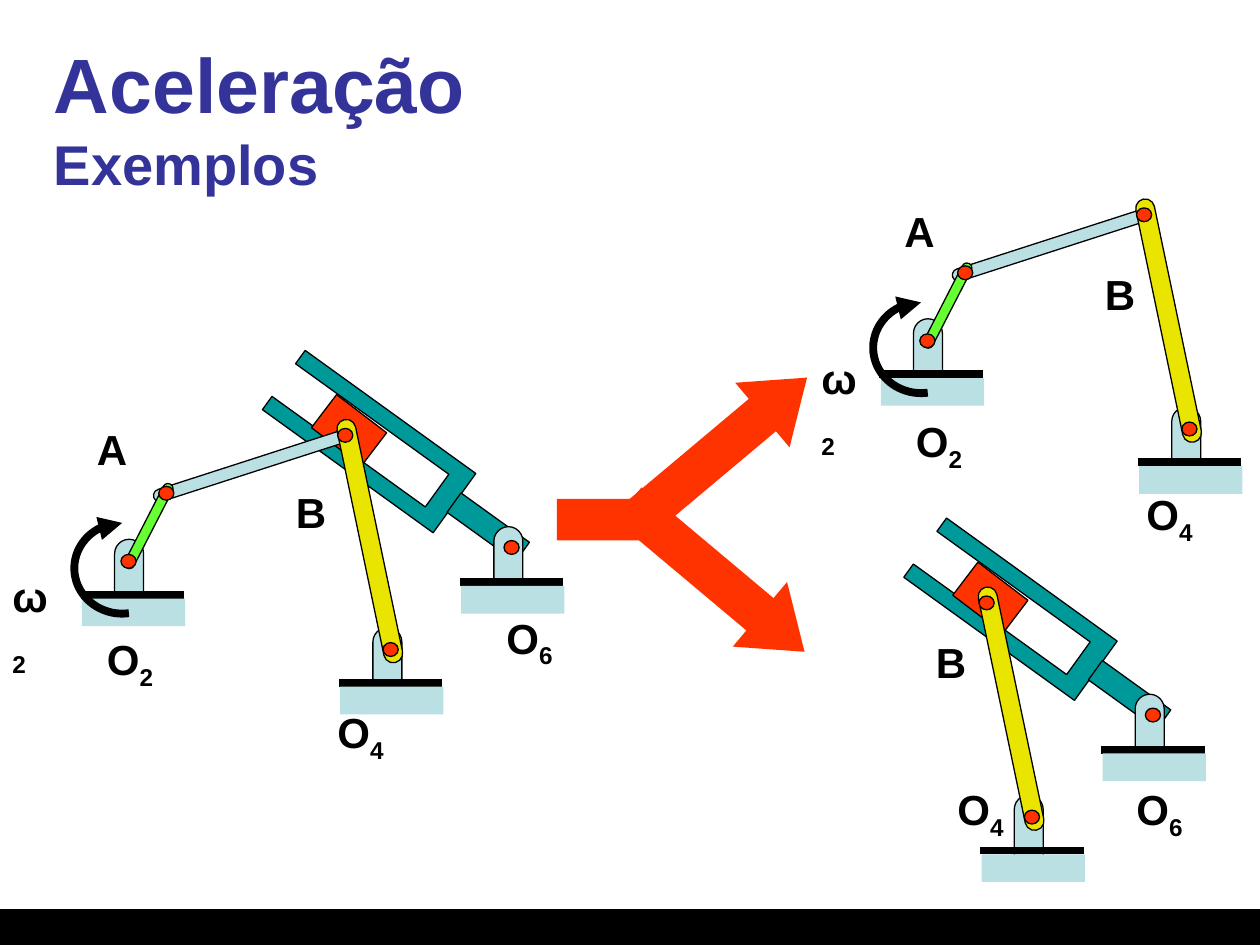
from dataclasses import dataclass
from math import cos, radians, sin

from lxml import etree
from pptx import Presentation
from pptx.dml.color import RGBColor
from pptx.enum.shapes import MSO_CONNECTOR, MSO_SHAPE
from pptx.enum.text import MSO_ANCHOR, MSO_AUTO_SIZE
from pptx.oxml.ns import qn
from pptx.util import Inches, Pt

RECTANGLE = MSO_SHAPE.RECTANGLE
ROUNDED = MSO_SHAPE.ROUNDED_RECTANGLE
OVAL = MSO_SHAPE.OVAL
RIGHT_ARROW = MSO_SHAPE.RIGHT_ARROW
STRAIGHT = MSO_CONNECTOR.STRAIGHT
MIDDLE = MSO_ANCHOR.MIDDLE
FIT_SHAPE = MSO_AUTO_SIZE.SHAPE_TO_FIT_TEXT


@dataclass(frozen=True)
class Theme:
    font: str = "Arial"
    black: str = "000000"
    title: str = "333399"
    teal: str = "009999"
    red: str = "FF3300"
    pale: str = "BBE0E3"
    green: str = "66FF33"
    yellow: str = "E9E400"
    title_size: int = 44
    subtitle_size: int = 32
    label_size: int = 24
    thin: float = 0.75
    thick: float = 4.5


@dataclass(frozen=True)
class Box:
    left: float
    top: float
    width: float
    height: float
    rotation: float = 0

    def shifted(self, dx: float, dy: float):
        return Box(self.left + dx, self.top + dy, self.width, self.height, self.rotation)


@dataclass(frozen=True)
class Label:
    left: float
    top: float
    letter: str
    subscript: str = ""


@dataclass(frozen=True)
class Mechanism:
    dx: float
    dy: float
    has_slider: bool
    has_crank: bool
    labels: tuple


THEME = Theme()
SLOT = ((0, 0), (0.13, 0), (0.13, 1.5), (0.45, 1.5), (0.45, 0), (0.58, 0), (0.58, 1.67), (0, 1.67))
SLOT_AT = (2.64, 2.67)
ARC_CENTER = (0.97, 4.51)
ARC_RADII = (0.38, 0.36)
LABEL_WIDTHS = {"ω": 0.55, "O": 0.58, "A": 0.44, "B": 0.44}

MECHANISMS = (
    Mechanism(0, 0, True, True, (
        Label(0, 4.48, "ω", "2"), Label(0.75, 4.98, "O", "2"), Label(2.58, 5.56, "O", "4"),
        Label(2.25, 3.81, "B"), Label(0.67, 3.31, "A"), Label(3.92, 4.81, "O", "6"))),
    Mechanism(6.34, -1.75, False, True, (
        Label(6.42, 2.75, "ω", "2"), Label(7.17, 3.25, "O", "2"), Label(9, 3.83, "O", "4"),
        Label(8.67, 2.08, "B"), Label(7.08, 1.58, "A"))),
    Mechanism(5.09, 1.33, True, False, (
        Label(7.5, 6.17, "O", "4"), Label(7.33, 5, "B"), Label(8.92, 6.17, "O", "6"))),
)


def color(value: str) -> RGBColor:
    return RGBColor.from_string(value)


def paint(shape, fill: str, outlined: bool = True) -> None:
    shape.shadow.inherit = False
    shape.fill.solid()
    shape.fill.fore_color.rgb = color(fill)
    if outlined:
        shape.line.color.rgb = color(THEME.black)
        shape.line.width = Pt(THEME.thin)
    else:
        shape.line.fill.background()


def add_part(slide, kind, box: Box, fill: str, outlined: bool = True, adjustments: tuple = ()) -> None:
    shape = slide.shapes.add_shape(
        kind, Inches(box.left), Inches(box.top), Inches(box.width), Inches(box.height))
    shape.rotation = box.rotation
    for index, value in enumerate(adjustments):
        shape.adjustments[index] = value
    paint(shape, fill, outlined)


def add_bar(slide, box: Box, fill: str) -> None:
    add_part(slide, ROUNDED, box, fill, adjustments=(0.5,))


def add_pin(slide, left: float, top: float) -> None:
    add_part(slide, OVAL, Box(left, top, 0.12, 0.11), THEME.red)


def add_support(slide, left: float, top: float) -> None:
    add_bar(slide, Box(left, top, 0.23, 0.65), THEME.pale)
    ground = slide.shapes.add_connector(
        STRAIGHT, Inches(left - 0.27), Inches(top + 0.44), Inches(left + 0.55), Inches(top + 0.44))
    ground.line.color.rgb = color(THEME.black)
    ground.line.width = Pt(THEME.thick)
    etree.SubElement(ground._element.spPr, qn("a:effectLst"))
    add_part(slide, RECTANGLE, Box(left - 0.26, top + 0.47, 0.82, 0.22), THEME.pale, False)


def add_outline(slide, points: list, close: bool):
    builder = slide.shapes.build_freeform(
        Inches(points[0][0]), Inches(points[0][1]), scale=1.0)
    builder.add_line_segments([(Inches(x), Inches(y)) for x, y in points[1:]], close=close)
    return builder.convert_to_shape()


def add_slider(slide, dx: float, dy: float) -> None:
    left, top = SLOT_AT
    slot = add_outline(slide, [(left + dx + x, top + dy + y) for x, y in SLOT], True)
    slot.rotation = 305.8
    paint(slot, THEME.teal)
    add_part(slide, RECTANGLE, Box(3.78, 3.85, 0.19, 0.67, 305.8).shifted(dx, dy), THEME.teal)
    add_part(slide, RECTANGLE, Box(2.52, 3.25, 0.5, 0.33, 37.3).shifted(dx, dy), THEME.red)


def add_crank(slide, dx: float, dy: float) -> None:
    add_support(slide, 0.91 + dx, 4.28 + dy)
    add_bar(slide, Box(1.97, 2.85, 0.1, 1.68, 72.1).shifted(dx, dy), THEME.pale)
    add_bar(slide, Box(1.14, 3.8, 0.08, 0.75, 207.2).shifted(dx, dy), THEME.green)
    add_pin(slide, 1.26 + dx, 3.86 + dy)
    add_pin(slide, 0.96 + dx, 4.4 + dy)


def add_rocker(slide, dx: float, dy: float) -> None:
    add_support(slide, 2.96 + dx, 4.98 + dy)
    add_bar(slide, Box(2.86, 3.31, 0.15, 1.97, 348.2).shifted(dx, dy), THEME.yellow)
    add_pin(slide, 2.68 + dx, 3.4 + dy)
    add_pin(slide, 3.04 + dx, 5.1 + dy)


def add_rotation_arrow(slide, dx: float, dy: float) -> None:
    angles = [radians(angle) for angle in range(270, 81, -4)]
    points = [(ARC_CENTER[0] + dx + ARC_RADII[0] * cos(angle),
               ARC_CENTER[1] + dy + ARC_RADII[1] * sin(angle)) for angle in angles]
    arc = add_outline(slide, points, False)
    arc.shadow.inherit = False
    arc.fill.background()
    arc.line.color.rgb = color(THEME.black)
    arc.line.width = Pt(THEME.thick)
    etree.SubElement(arc.line._get_or_add_ln(), qn("a:headEnd"), type="triangle")


def add_run(paragraph, text: str, size: int, fill: str):
    run = paragraph.add_run()
    run.text = text
    run.font.name = THEME.font
    run.font.size = Pt(size)
    run.font.bold = True
    run.font.color.rgb = color(fill)
    return run


def add_label(slide, label: Label) -> None:
    box = slide.shapes.add_textbox(
        Inches(label.left), Inches(label.top), Inches(LABEL_WIDTHS[label.letter]), Inches(0.5))
    frame = box.text_frame
    frame.word_wrap = label.letter == "ω"
    frame.auto_size = FIT_SHAPE
    paragraph = frame.paragraphs[0]
    add_run(paragraph, label.letter, THEME.label_size, THEME.black)
    if label.subscript:
        run = add_run(paragraph, label.subscript, THEME.label_size, THEME.black)
        run.font._element.set("baseline", "-25000")


def add_mechanism(slide, mechanism: Mechanism) -> None:
    dx, dy = mechanism.dx, mechanism.dy
    if mechanism.has_slider:
        add_slider(slide, dx, dy)
    if mechanism.has_crank:
        add_crank(slide, dx, dy)
    add_rocker(slide, dx, dy)
    if mechanism.has_slider:
        add_support(slide, 3.92 + dx, 4.18 + dy)
        add_pin(slide, 4 + dx, 4.29 + dy)
    if mechanism.has_crank:
        add_rotation_arrow(slide, dx, dy)
    for label in mechanism.labels:
        add_label(slide, label)


def add_fork(slide) -> None:
    for box in (Box(4.79, 3.25, 1.83, 0.67, 320), Box(4.77, 4.25, 1.83, 0.67, 40)):
        add_part(slide, RIGHT_ARROW, box, THEME.red, False, (0.5, 0.69))
    add_part(slide, RECTANGLE, Box(4.42, 3.96, 0.92, 0.33), THEME.red, False)


def add_title(slide) -> None:
    frame = slide.shapes.add_textbox(Inches(0.33), Inches(0.3), Inches(9.33), Inches(1.25)).text_frame
    frame.word_wrap = True
    frame.vertical_anchor = MIDDLE
    paragraph = frame.paragraphs[0]
    add_run(paragraph, "Aceleração", THEME.title_size, THEME.title)
    paragraph.add_line_break()
    add_run(paragraph, "Exemplos", THEME.subtitle_size, THEME.title)


def main() -> None:
    presentation = Presentation()
    presentation.slide_width = Inches(10)
    presentation.slide_height = Inches(7.5)
    slide = presentation.slides.add_slide(presentation.slide_layouts[6])
    add_part(slide, RECTANGLE, Box(0, 7.22, 10, 0.28), THEME.black)
    add_fork(slide)
    for mechanism in MECHANISMS:
        add_mechanism(slide, mechanism)
    add_title(slide)
    presentation.save("out.pptx")


if __name__ == "__main__":
    main()
